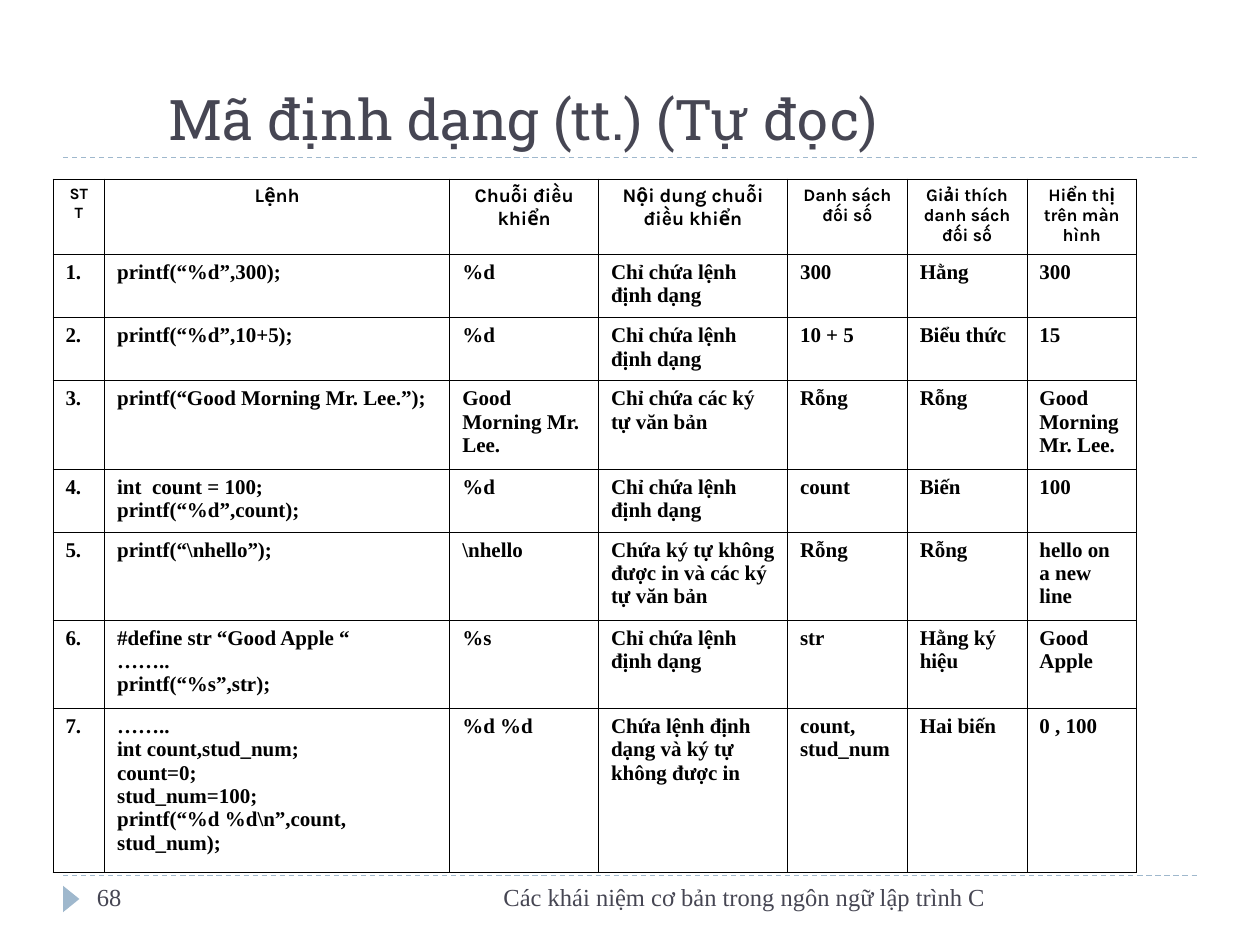
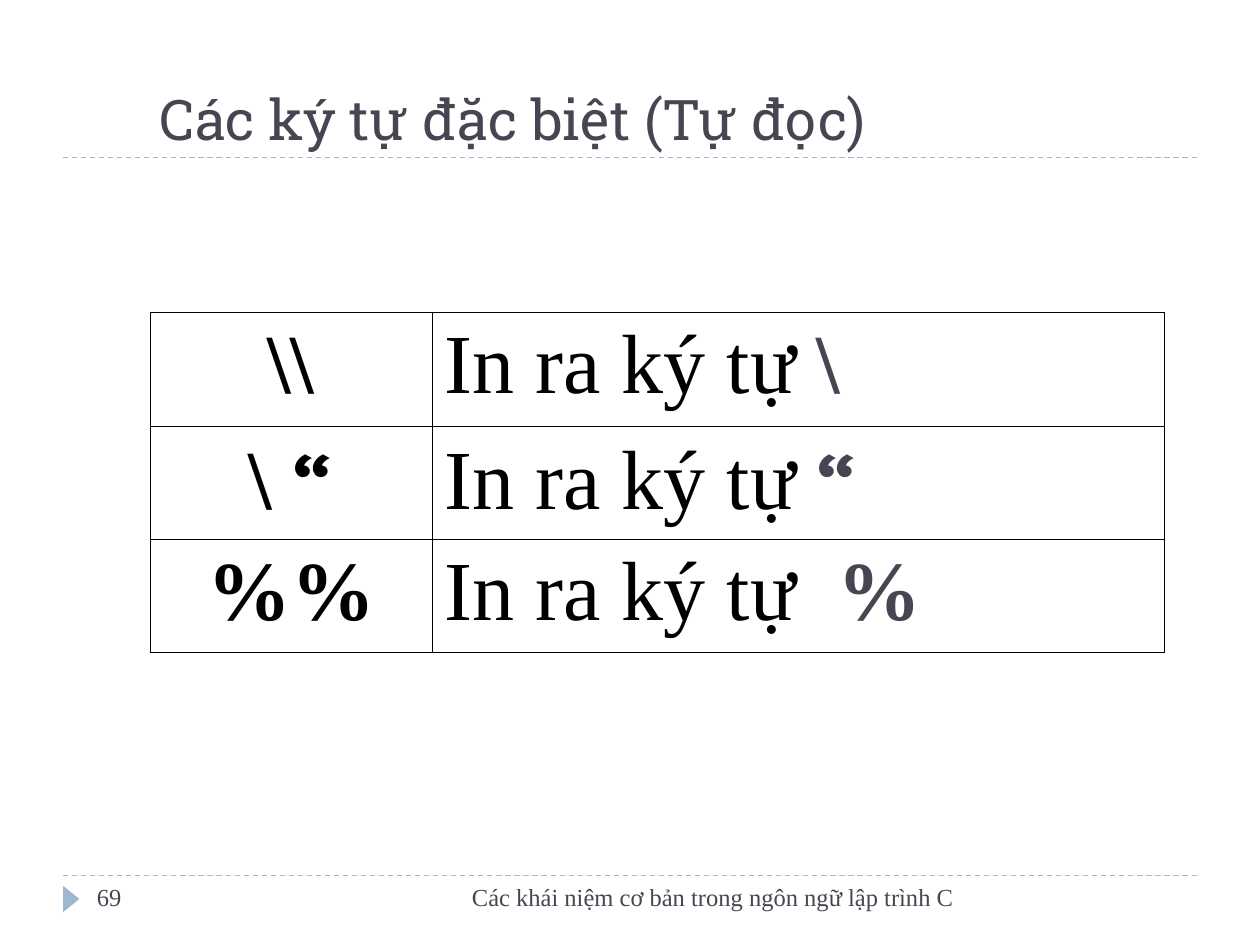
from lxml import etree
from pptx import Presentation
from pptx import util as u
from pptx.dml.color import RGBColor
from pptx.enum import dml, shapes, text
from pptx.oxml.ns import qn

COLORS = {"ink": "464653", "accent": "9FB8CD", "black": "000000"}
SERIF, SANS, SLAB = "Times New Roman", "Karla", "Roboto Slab"

TITLE = {"name": SLAB, "size": u.Pt(32), "color": "ink"}
FOOTER = {"name": SERIF, "size": u.Pt(14), "color": "ink"}
BODY = {"name": SERIF, "size": u.Pt(12), "bold": True, "color": "black"}
HEADER = {**BODY, "name": SANS}
SYMBOL = {**BODY, "size": u.Pt(48)}
QUOTE = {**SYMBOL, "name": SANS}
PLAIN = {**SYMBOL, "bold": False}

LEFT, CENTER, RIGHT = text.PP_ALIGN.LEFT, text.PP_ALIGN.CENTER, text.PP_ALIGN.RIGHT
FOOTER_TEXT = "Các khái niệm cơ bản trong ngôn ngữ lập trình C"
FOOTER_TOP = 6.95

COMMAND_COLUMNS = [0.41, 2.74, 1.18, 1.5, 0.95, 0.95, 0.87]
COMMAND_ROWS = [0.6, 0.5, 0.5, 0.7, 0.5, 0.7, 0.7, 1.3]
COMMAND_HEADERS = [
    ("STT", 9), ("Lệnh", 11), ("Chuỗi điều khiển", 11), ("Nội dung chuỗi điều khiển", 11),
    ("Danh sách đối số", 10), ("Giải thích danh sách đối số", 10), ("Hiển thị trên màn hình", 10),
]
FORMAT_ONLY = "Chỉ chứa lệnh định dạng"
COMMANDS = [
    ["printf(“%d”,300);", "%d", FORMAT_ONLY, "300", "Hằng", "300"],
    ["printf(“%d”,10+5);", "%d", FORMAT_ONLY, "10 + 5", "Biểu thức", "15"],
    ["printf(“Good Morning Mr. Lee.”);", "Good Morning Mr. Lee.",
     "Chỉ chứa các ký tự văn bản", "Rỗng", "Rỗng", "Good Morning Mr. Lee."],
    ["int  count = 100;\nprintf(“%d”,count);", "%d", FORMAT_ONLY, "count", "Biến", "100"],
    ["printf(“\\nhello”);", "\\nhello", "Chứa ký tự không được in và các ký tự văn bản",
     "Rỗng", "Rỗng", "hello on a new line"],
    ["#define str “Good Apple “\n……..\nprintf(“%s”,str);", "%s", FORMAT_ONLY,
     "str", "Hằng ký hiệu", "Good Apple"],
    ["……..\nint count,stud_num;\ncount=0;\nstud_num=100;\nprintf(“%d %d\\n”,count, stud_num);",
     "%d %d", "Chứa lệnh định dạng và ký tự không được in", "count, stud_num",
     "Hai biến", "0 , 100"],
]

ESCAPES = [
    ([("\\\\", SYMBOL)], [("In ra ký tự ", PLAIN), ("\\", {**SYMBOL, "color": "ink"})]),
    ([("\\ ", SYMBOL), ("“", QUOTE)],
     [("In ra ký tự ", PLAIN), ("“", {**QUOTE, "color": "ink"})]),
    ([("%%", SYMBOL)], [("In ra ký tự  ", PLAIN), ("%", {**SYMBOL, "color": "ink"})]),
]


def rgb(color):
    return RGBColor.from_string(COLORS[color])


def apply_font(font, style):
    for attribute, value in style.items():
        if attribute == "color":
            font.color.rgb = rgb(value)
        else:
            setattr(font, attribute, value)


def write(frame, paragraphs, alignment=LEFT):
    """Fill a text frame; each paragraph is a list of (text, style) runs."""
    for index, runs in enumerate(paragraphs):
        paragraph = frame.add_paragraph() if index else frame.paragraphs[0]
        paragraph.alignment = alignment
        for words, style in runs:
            run = paragraph.add_run()
            run.text = words
            apply_font(run.font, style)


def add_text(slide, box, words, style, alignment=LEFT, anchor=text.MSO_ANCHOR.TOP):
    frame = slide.shapes.add_textbox(*map(u.Inches, box)).text_frame
    frame.word_wrap = True
    frame.vertical_anchor = anchor
    write(frame, [[(words, style)]], alignment)


def add_rule(slide, y):
    rule = slide.shapes.add_connector(
        shapes.MSO_CONNECTOR.STRAIGHT, *map(u.Inches, (0.5, y, 9.5, y)))
    rule.line.color.rgb = rgb("accent")
    rule.line.width = u.Pt(0.75)
    rule.line.dash_style = dml.MSO_LINE.DASH
    etree.SubElement(rule._element.spPr, qn("a:effectLst"))


def add_page_marker(slide):
    marker = slide.shapes.add_shape(
        shapes.MSO_SHAPE.ISOSCELES_TRIANGLE, *map(u.Inches, (0.46, 7.07, 0.21, 0.13)))
    marker.rotation = 90
    marker.shadow.inherit = False
    marker.fill.solid()
    marker.fill.fore_color.rgb = rgb("accent")
    marker.line.fill.background()


def add_borders(cell):
    properties = cell._tc.get_or_add_tcPr()
    for position, side in enumerate(("lnL", "lnR", "lnT", "lnB")):
        border = etree.Element(qn(f"a:{side}"), w=str(u.Pt(0.45)))
        fill = etree.SubElement(border, qn("a:solidFill"))
        etree.SubElement(fill, qn("a:srgbClr"), val=COLORS["black"])
        properties.insert(position, border)


def add_grid(slide, left, top, widths, heights):
    """Add an unfilled table with thin black borders on every cell."""
    box = (left, top, sum(widths), sum(heights))
    table = slide.shapes.add_table(len(heights), len(widths), *map(u.Inches, box)).table
    table.first_row = table.horz_banding = False
    for column, width in zip(table.columns, widths):
        column.width = u.Inches(width)
    for row, height in zip(table.rows, heights):
        row.height = u.Inches(height)
    for cell in table.iter_cells():
        cell.fill.background()
        add_borders(cell)
    return table


def add_slide(presentation, title, title_box):
    slide = presentation.slides.add_slide(presentation.slide_layouts[6])
    for y in (FOOTER_TOP, 1.25):
        add_rule(slide, y)
    add_page_marker(slide)
    add_text(slide, title_box, title, TITLE, anchor=text.MSO_ANCHOR.BOTTOM)
    return slide


def add_footer(slide, number, width):
    add_text(slide, (3.17, FOOTER_TOP, width, 0.4), FOOTER_TEXT, FOOTER, RIGHT)
    add_text(slide, (0.67, FOOTER_TOP, 2.17, 0.4), str(number), FOOTER)


def add_command_table(slide):
    table = add_grid(slide, 0.42, 1.42, COMMAND_COLUMNS, COMMAND_ROWS)
    for column, (words, size) in enumerate(COMMAND_HEADERS):
        style = {**HEADER, "size": u.Pt(size)}
        write(table.cell(0, column).text_frame, [[(words, style)]], CENTER)
    for row, command in enumerate(COMMANDS, start=1):
        for column, words in enumerate([f"{row}.", *command]):
            lines = [[(line, BODY)] for line in words.split("\n")]
            write(table.cell(row, column).text_frame, lines)


def add_escape_table(slide):
    table = add_grid(slide, 1.19, 2.48, [2.24, 5.81], [0.9] * len(ESCAPES))
    for row, (symbol, meaning) in enumerate(ESCAPES):
        write(table.cell(row, 0).text_frame, [symbol], CENTER)
        write(table.cell(row, 1).text_frame, [meaning])


def main():
    presentation = Presentation()
    presentation.slide_width = u.Inches(10)
    presentation.slide_height = u.Inches(7.5)

    slide = add_slide(presentation, "Mã định dạng (tt.) (Tự đọc)", (1.24, 0.52, 6.76, 0.73))
    add_command_table(slide)
    add_footer(slide, 68, 4.75)

    slide = add_slide(presentation, "Các ký tự đặc biệt (Tự đọc)", (1.17, 0.43, 6.43, 0.82))
    add_escape_table(slide)
    add_footer(slide, 69, 4.5)

    presentation.save("out.pptx")


if __name__ == "__main__":
    main()
